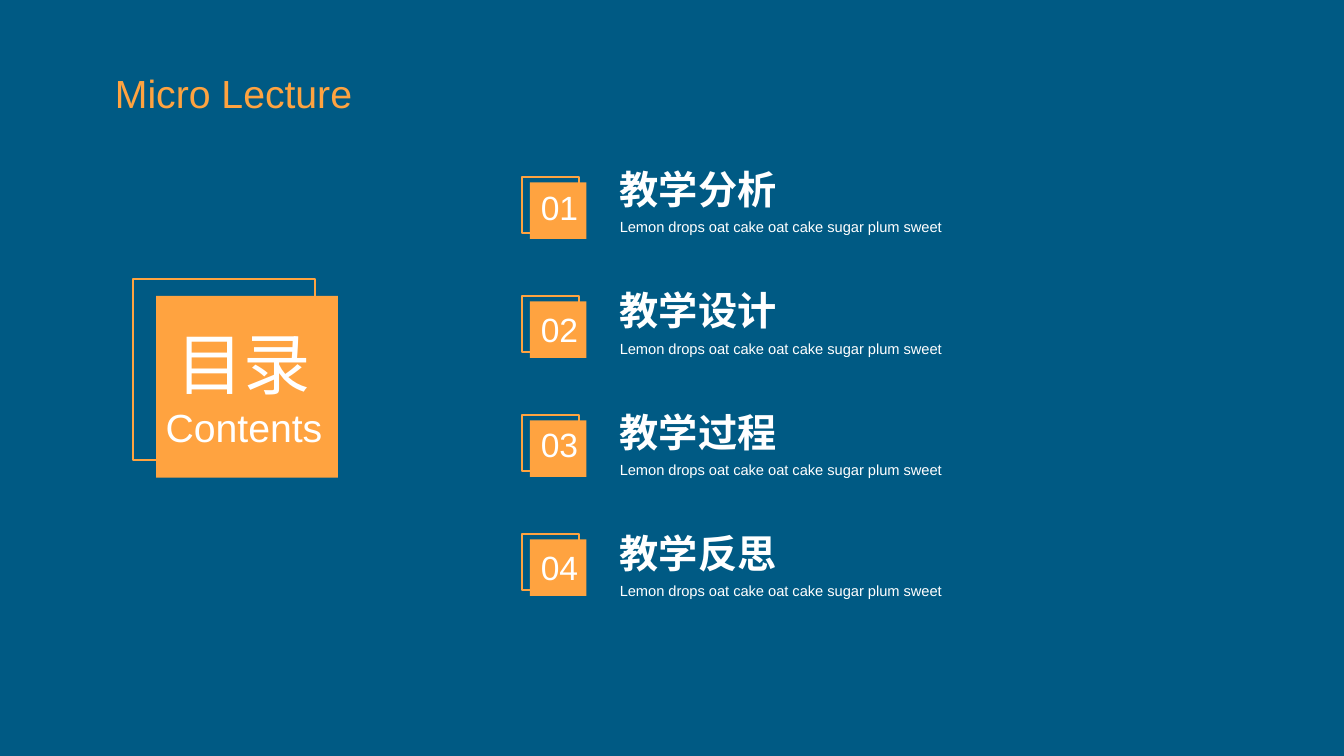
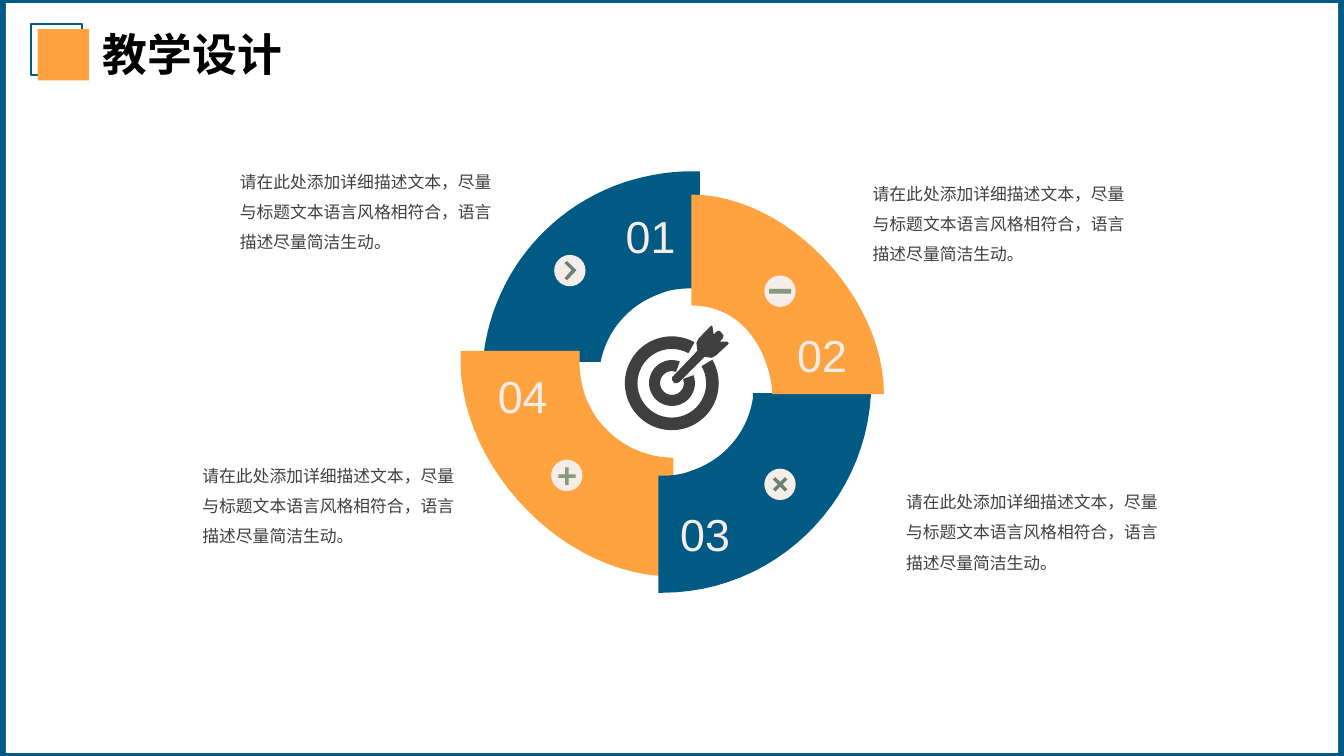
from dataclasses import dataclass

from pptx import Presentation
from pptx.dml.color import RGBColor
from pptx.enum.shapes import MSO_SHAPE
from pptx.enum.text import MSO_ANCHOR, MSO_AUTO_SIZE, PP_ALIGN
from pptx.util import Pt

RECTANGLE = MSO_SHAPE.RECTANGLE
OVAL = MSO_SHAPE.OVAL
CROSS = MSO_SHAPE.CROSS
ROUNDED = MSO_SHAPE.ROUNDED_RECTANGLE
BLOCK_ARC = MSO_SHAPE.BLOCK_ARC
LEFT, CENTER = PP_ALIGN.LEFT, PP_ALIGN.CENTER
TOP = MSO_ANCHOR.TOP
FIT_SHAPE = MSO_AUTO_SIZE.SHAPE_TO_FIT_TEXT


@dataclass(frozen=True)
class Theme:
    navy: str = "005A84"
    orange: str = "FFA340"
    white: str = "FFFFFF"
    black: str = "000000"
    cream: str = "F5EDE8"
    charcoal: str = "3F3F3F"
    body: str = "404040"
    sage: str = "6A8074"
    moss: str = "839A7D"
    font: str = "Arial"
    display: float = 48
    title: float = 32
    heading: float = 28
    number: float = 24
    text: float = 12
    caption: float = 10.5
    outline: float = 1.5


theme = Theme()

STYLES = {
    "course": (theme.orange, {"size": Pt(theme.heading)}, {"alignment": LEFT}),
    "title": (theme.black, {"size": Pt(theme.title), "bold": True}, {"alignment": LEFT}),
    "contents": (theme.white, {"size": Pt(theme.display)}, {"alignment": CENTER}),
    "contents_sub": (theme.white, {"size": Pt(theme.heading)}, {"alignment": CENTER}),
    "heading": (theme.white, {"size": Pt(theme.heading), "bold": True}, {}),
    "caption": (theme.white, {"size": Pt(theme.caption)}, {"line_spacing": 1.3}),
    "number": (theme.white, {"size": Pt(theme.number)}, {"alignment": CENTER}),
    "wheel_number": (theme.cream, {"size": Pt(theme.title)}, {}),
    "description": (theme.body, {"size": Pt(theme.text)}, {"line_spacing": 1.5}),
}


def paint(shape, fill=None, line=None):
    shape.shadow.inherit = False
    if fill:
        shape.fill.solid()
        shape.fill.fore_color.rgb = RGBColor.from_string(fill)
    else:
        shape.fill.background()
    if line:
        shape.line.color.rgb = RGBColor.from_string(line)
        shape.line.width = Pt(theme.outline)
    else:
        shape.line.fill.background()
    return shape


def write(shape, lines, wrap=True):
    frame = shape.text_frame
    frame_format = {"word_wrap": wrap, "auto_size": FIT_SHAPE, "vertical_anchor": TOP}
    for name, value in frame_format.items():
        setattr(frame, name, value)
    for index, (text, style) in enumerate(lines):
        colour, font_format, paragraph_format = STYLES[style]
        paragraph = frame.add_paragraph() if index else frame.paragraphs[0]
        for name, value in paragraph_format.items():
            setattr(paragraph, name, value)
        run = paragraph.add_run()
        run.text = text
        for name, value in {"name": theme.font, **font_format}.items():
            setattr(run.font, name, value)
        run.font.color.rgb = RGBColor.from_string(colour)


deck = Presentation()
deck.slide_width, deck.slide_height = Pt(960), Pt(540)
backdrop = deck.slide_master.background.fill
backdrop.solid()
backdrop.fore_color.rgb = RGBColor.from_string(theme.navy)
title_only = deck.slide_layouts[5]
contents = deck.slides.add_slide(title_only)
design = deck.slides.add_slide(title_only)

panel = paint(design.shapes.add_shape(RECTANGLE, Pt(4.2), Pt(2.2), Pt(951.6), Pt(535.6)), theme.white)
design.shapes.element.insert(2, panel.element)

titles = [
    (contents, "Micro Lecture", "course", (74.9, 46.1, 186.5, 41)),
    (design, "教学设计", "title", (66.2, 15.8, 144, 46.1)),
]
for slide, text, style, box in titles:
    title = slide.shapes.title
    for name, value in zip(("left", "top", "width", "height"), box):
        setattr(title, name, Pt(value))
    write(title, [(text, style)], wrap=False)

chapters = [("教学分析", 130.3), ("教学设计", 217.4), ("教学过程", 299.5), ("教学反思", 387.4)]

markers = [
    (contents, 95, 199, 129.8, 16.6, 12.4, theme.orange),
    (design, 22, 17, 36.7, 4.9, 3.8, theme.navy),
]
for row in range(len(chapters)):
    markers.append((contents, 373.2, 126.4 + 85 * row, 40.3, 5.3, 3.9, theme.orange))
for slide, left, top, side, shift_x, shift_y, edge in markers:
    size = Pt(side), Pt(side)
    paint(slide.shapes.add_shape(RECTANGLE, Pt(left), Pt(top), *size), line=edge)
    paint(slide.shapes.add_shape(RECTANGLE, Pt(left + shift_x), Pt(top + shift_y), *size), theme.orange)

contents_label = contents.shapes.add_textbox(Pt(92.9), Pt(226.8), Pt(162.7), Pt(99.4))
write(contents_label, [("目录", "contents"), ("Contents", "contents_sub")])

for row, (chapter, number_top) in enumerate(chapters):
    top = 114.5 + 86.7 * row
    heading = contents.shapes.add_textbox(Pt(435.6), Pt(top), Pt(296.6), Pt(41))
    write(heading, [(chapter, "heading")])
    caption = contents.shapes.add_textbox(Pt(435.6), Pt(top + 34), Pt(279.4), Pt(22.3))
    write(caption, [("Lemon drops oat cake oat cake sugar plum sweet", "caption")])
    number = contents.shapes.add_textbox(Pt(378.7), Pt(number_top), Pt(41.8), Pt(36))
    write(number, [(f"{row + 1:02}", "number")], wrap=False)

badges = [(395.9, 182.1), (546, 196.8), (546, 334.8), (393.7, 328.4)]

quarter_1 = [
    (500, 206), (494, 206), (486.7, 206, 479.5, 206.6, 472.3, 209.5),
    (449.3, 217.4, 433.4, 236.2, 429.1, 258.5), (344.9, 258.5),
    (349.9, 200.9, 388.1, 149.8, 445.7, 130.3),
    (461.5, 125.3, 477.4, 122.4, 493.2, 122.4), (500, 122.4),
]
quarter_4 = [
    (414, 259.2), (414, 266.4, 415.4, 274.3, 417.6, 281.5),
    (427, 308.9, 452.9, 326.9, 481, 326.9), (481, 411.8),
    (403.2, 411.8, 330.5, 335.5, 329, 259.9), (329, 250.6), (414, 250.6),
]
quarter_3 = [
    (537.8, 280.8), (551.5, 280.8), (551.5, 281.5), (622.1, 281.5),
    (617.8, 360.7, 552.2, 423.4, 473, 423.4), (470.2, 423.4), (470.2, 339.8),
    (472.3, 339.8), (479.5, 339.8, 486.7, 339.1, 493.9, 336.2),
    (517.7, 328.3, 534.2, 308.2, 537.8, 284.4),
]
quarter_2 = [
    (551.5, 281.5), (551.5, 275, 550.1, 267.8, 547.9, 261.4),
    (539.3, 234.7, 519.8, 218.2, 493.9, 218.2), (493.9, 139),
    (562.3, 139, 631.4, 212.4, 631.4, 281.5),
]
dart = [
    (514.1, 244.1), (516.2, 241.9), (516.9, 239.8), (514.8, 236.9), (513.4, 236.2),
    (511.9, 236.9), (509.8, 239), (509, 233.3), (508, 232.6), (499, 241.9),
    (497.5, 244.8), (498.2, 250.6), (481, 268.6), (480.2, 269.3), (480, 271.4),
    (481.7, 273.6), (483.8, 273.6), (485.3, 272.9), (503.3, 254.9), (508.3, 255.6),
    (511.2, 254.2), (520.6, 245.5), (519.8, 244.1),
]
chevron = [
    (403.2, 187.9), (405, 186.5), (411.8, 193), (405, 200.2), (403.2, 198.7), (408.2, 193),
]

for left, top, side, start, end, thickness in [
    (446.4, 240.3, 67, 330, 299, 0.134),
    (463.6, 257.2, 32.8, 340, 290, 0.24),
]:
    ring = design.shapes.add_shape(BLOCK_ARC, Pt(left), Pt(top), Pt(side), Pt(side))
    for index, value in enumerate((start * 0.6, end * 0.6, thickness)):
        ring.adjustments[index] = value
    paint(ring, theme.charcoal)

outlines = [
    (quarter_1, theme.navy), (quarter_4, theme.orange), (quarter_3, theme.navy),
    (quarter_2, theme.orange), (dart, theme.charcoal), (chevron, theme.sage),
]
for outline, fill in outlines:
    if outline is chevron:
        for left, top in badges:
            paint(design.shapes.add_shape(OVAL, Pt(left), Pt(top), Pt(22.4), Pt(22.4)), theme.cream)
    points = [outline[0]]
    for segment in outline[1:]:
        if len(segment) == 2:
            points.append(segment)
            continue
        x0, y0 = points[-1]
        x1, y1, x2, y2, x3, y3 = segment
        for step in range(1, 25):
            t = step / 24
            a, b, c, d = (1 - t) ** 3, 3 * t * (1 - t) ** 2, 3 * t * t * (1 - t), t ** 3
            points.append((a * x0 + b * x1 + c * x2 + d * x3, a * y0 + b * y1 + c * y2 + d * y3))
    corners = [(Pt(x), Pt(y)) for x, y in points]
    builder = design.shapes.build_freeform(*corners[0])
    builder.add_line_segments(corners[1:], close=True)
    paint(builder.convert_to_shape(), fill)

icons = [
    (ROUNDED, 549.3, 206.4, 15.8, 3.4, 0, 0.17, theme.moss),
    (CROSS, 551.2, 339.9, 12.2, 12.2, 45, 0.4, theme.sage),
    (CROSS, 398.8, 333.9, 12.4, 12.4, 0, 0.4, theme.moss),
]
for preset, left, top, width, height, rotation, adjustment, fill in icons:
    icon = paint(design.shapes.add_shape(preset, Pt(left), Pt(top), Pt(width), Pt(height)), fill)
    icon.rotation = rotation
    icon.adjustments[0] = adjustment

stages = [
    ((439.9, 145.4), (164.2, 111.6)),
    ((562.3, 230.4), (616.3, 120.2)),
    ((478.8, 358.6), (640.1, 340.6)),
    ((348.5, 259.9), (137.5, 321.8)),
]
for order, (number_at, description_at) in enumerate(stages, 1):
    number = design.shapes.add_textbox(*map(Pt, number_at), Pt(62.6), Pt(46.1))
    write(number, [(f"{order:02}", "wheel_number")])
    description = design.shapes.add_textbox(*map(Pt, description_at), Pt(199.4), Pt(70.6))
    write(description, [("请在此处添加详细描述文本，尽量与标题文本语言风格相符合，语言描述尽量简洁生动。", "description")])

deck.save("out.pptx")
